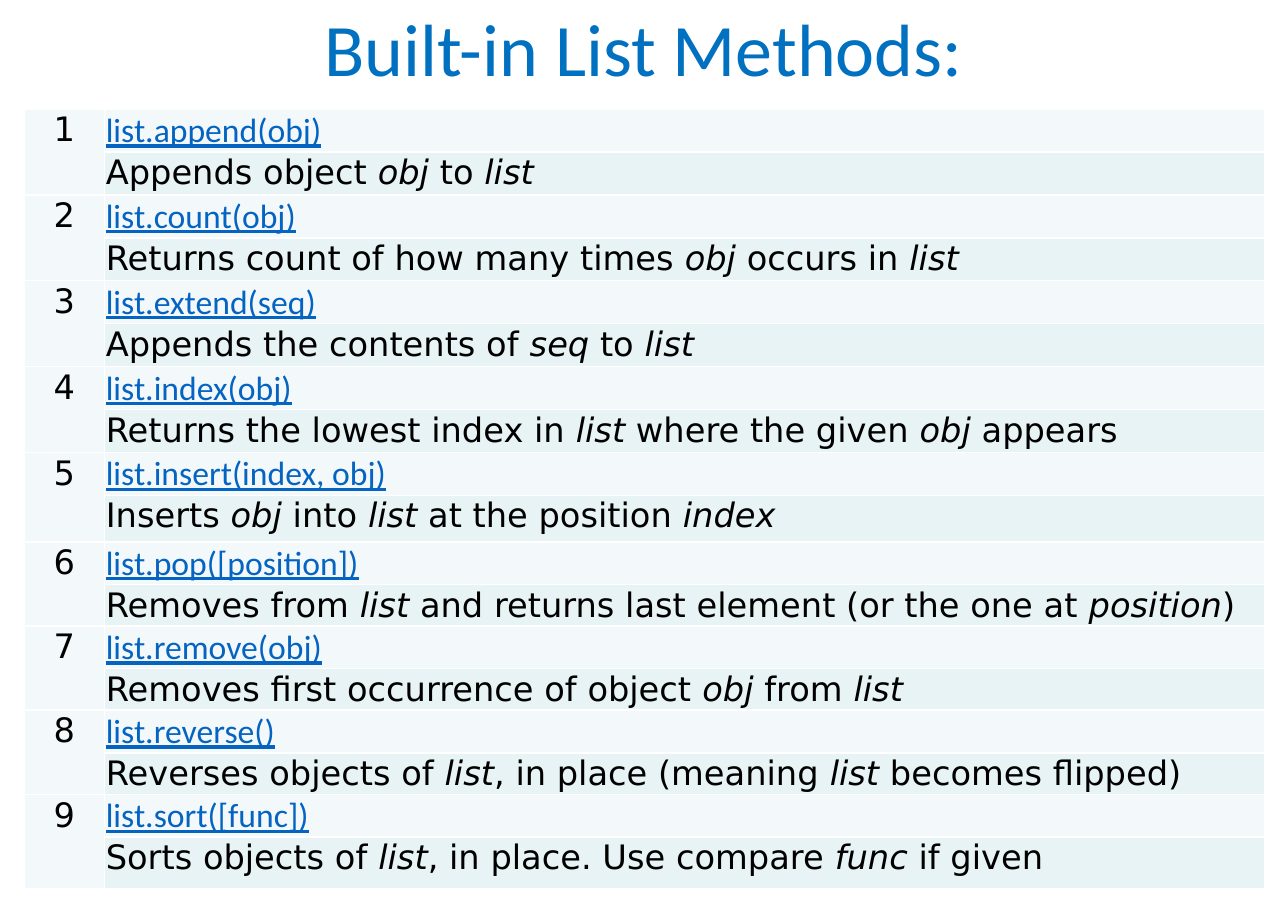
from pptx import Presentation
from pptx.dml.color import RGBColor as Rgb
from pptx.enum.text import MSO_ANCHOR as Anchor, MSO_AUTO_SIZE as Auto, PP_ALIGN as Align
from pptx.oxml import parse_xml
from pptx.oxml.ns import nsdecls
from pptx.util import Cm, Pt

# Formats
HEAD = {"name": "Calibri", "size": Pt(44)}
LINK = {"name": "Calibri", "size": Pt(20), "underline": True}
BODY = {"name": "DejaVu Sans", "size": Pt(20)}
PALE, TINT = "F3F9FA", "E7F3F4"

# Method and its meaning; italic words stand between asterisks
METHODS = [
    ("list.append(obj)", "Appends object *obj* to *list*"),
    ("list.count(obj)", "Returns count of how many times *obj* occurs in *list*"),
    ("list.extend(seq)", "Appends the contents of *seq* to *list*"),
    ("list.index(obj)", "Returns the lowest index in *list* where the given *obj* appears"),
    ("list.insert(index, obj)", "Inserts *obj* into *list* at the position *index*"),
    ("list.pop([position])",
     "Removes from *list *and returns last element (or the one at *position*)"),
    ("list.remove(obj)", "Removes first occurrence of object *obj* from *list*"),
    ("list.reverse()", "Reverses objects of *list*, in place (meaning *list* becomes flipped)"),
    ("list.sort([func])", "Sorts objects of *list*, in place. Use compare *func* if given"),
]
WIDTHS = [1.68, 24.36]
HEIGHTS = [0.9] * 9 + [0.98] + [0.87] * 7 + [1.09]


def paint(part, shade):
    """Set a solid colour on a fill."""
    part.solid()
    part.fore_color.rgb = Rgb.from_string(shade)


def write(para, text, form, shade, align=Align.LEFT):
    para.alignment = align
    for i, piece in enumerate(text.split("*")):
        if not piece:
            continue
        run = para.add_run()
        run.text = piece
        for key, value in form.items():
            setattr(run.font, key, value)
        run.font.italic = i % 2 == 1
        paint(run.font.fill, shade)


def frame(cell, shade, side):
    """Give a cell its margins, white borders and fill."""
    margins = {"margin_left": side, "margin_right": side, "margin_top": 0.03, "margin_bottom": 0}
    for key, value in margins.items():
        setattr(cell, key, Cm(value))
    props = cell._tc.get_or_add_tcPr()
    for edge in "LRTB":
        props.append(parse_xml(
            f'<a:ln{edge} {nsdecls("a")} w="12700"><a:solidFill>'
            f'<a:srgbClr val="FFFFFF"/></a:solidFill></a:ln{edge}>'))
    paint(cell.fill, shade)


def add_title(slide, text):
    title = slide.shapes.title
    title.left, title.top, title.width, title.height = Cm(0.18), Cm(0), Cm(26.67), Cm(2.21)
    box = title.text_frame
    box.auto_size = Auto.NONE
    box.vertical_anchor = Anchor.MIDDLE
    para = box.paragraphs[0]
    para.line_spacing = 0.9
    write(para, text, HEAD, "0070C0", Align.CENTER)


def add_grid(slide):
    grid = slide.shapes.add_table(
        len(HEIGHTS), len(WIDTHS), Cm(0.51), Cm(2.29), Cm(sum(WIDTHS)), Cm(sum(HEIGHTS))).table
    grid.first_row = grid.horz_banding = False
    for col, width in zip(grid.columns, WIDTHS):
        col.width = Cm(width)
    for row, height in zip(grid.rows, HEIGHTS):
        row.height = Cm(height)
        frame(row.cells[0], PALE, 0)

    # Two rows for each method, sharing one number
    for i, (call, note) in enumerate(METHODS):
        top = 2 * i
        number = grid.cell(top, 0)
        number.merge(grid.cell(top + 1, 0))
        write(number.text_frame.paragraphs[0], str(i + 1), BODY, "000000", Align.CENTER)
        lines = [(call, LINK, "0563C1", PALE), (note, BODY, "000000", TINT)]
        for j, (text, form, ink, shade) in enumerate(lines):
            cell = grid.cell(top + j, 1)
            frame(cell, shade, 0.03)
            write(cell.text_frame.paragraphs[0], text, form, ink)


def main():
    deck = Presentation()
    deck.slide_width, deck.slide_height = Cm(27.03), Cm(19.05)
    slide = deck.slides.add_slide(deck.slide_layouts[5])
    paint(slide.background.fill, "FFFFFF")
    add_grid(slide)
    add_title(slide, "Built-in List Methods:")
    deck.save("out.pptx")


if __name__ == "__main__":
    main()
